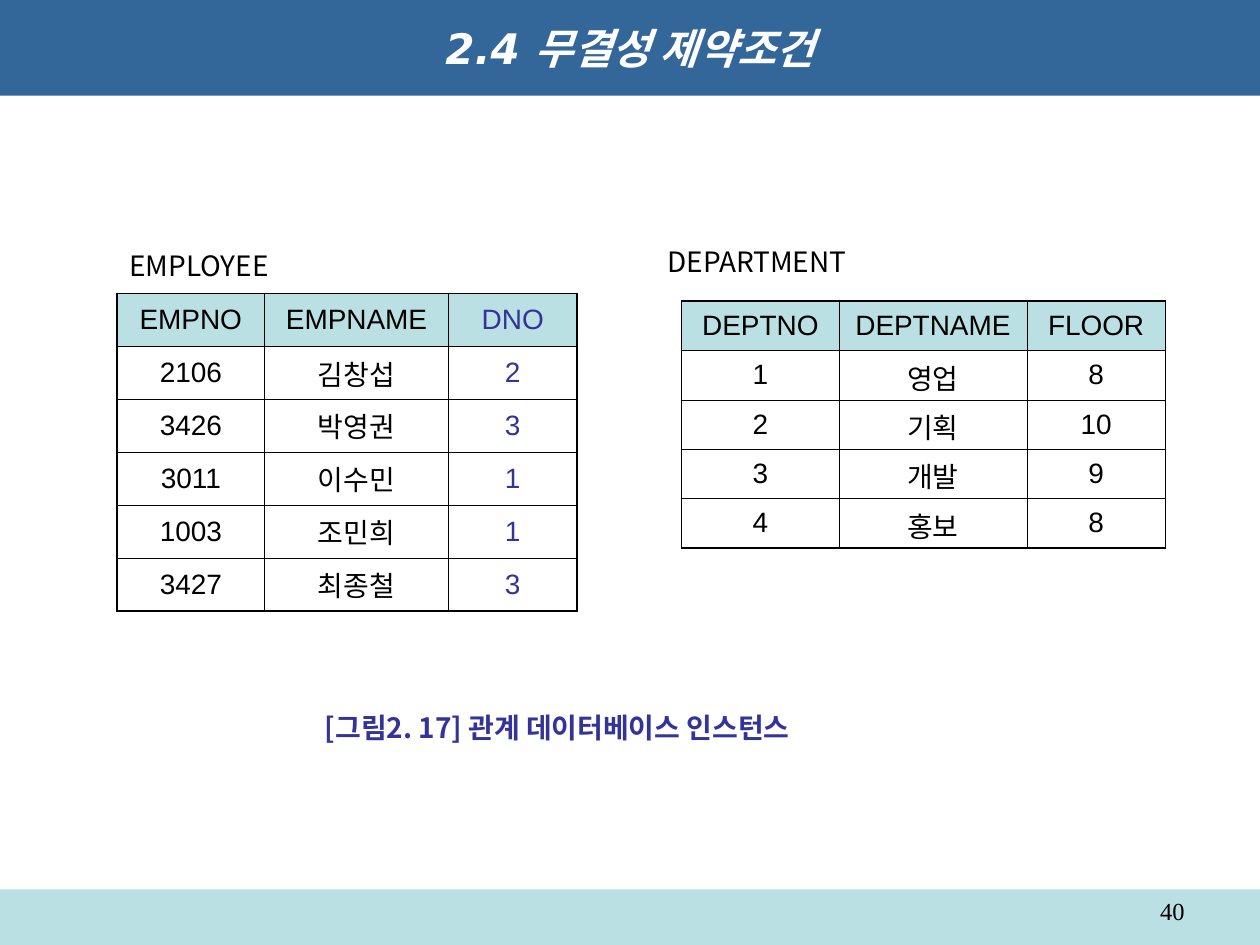
from lxml.etree import SubElement
from pptx import Presentation
from pptx.dml.color import RGBColor
from pptx.enum.shapes import MSO_SHAPE
from pptx.enum.text import MSO_ANCHOR, PP_ALIGN
from pptx.oxml.ns import qn
from pptx.util import Inches, Pt

COLORS = {
    "title_bar": "336699",
    "pale": "BBE0E3",
    "accent": "333399",
    "black": "000000",
    "white": "FFFFFF",
}
KOREAN = "Noto Sans CJK KR"
LABEL_FONT = "Noto Sans CJK JP"
THIN, THICK = Pt(0.45), Pt(1.08)

EMPLOYEE = [
    ("EMPNO", "EMPNAME", "DNO"),
    ("2106", "김창섭", "2"),
    ("3426", "박영권", "3"),
    ("3011", "이수민", "1"),
    ("1003", "조민희", "1"),
    ("3427", "최종철", "3"),
]
DEPARTMENT = [
    ("DEPTNO", "DEPTNAME", "FLOOR"),
    ("1", "영업", "8"),
    ("2", "기획", "10"),
    ("3", "개발", "9"),
    ("4", "홍보", "8"),
]


def rgb(name):
    return RGBColor.from_string(COLORS[name])


def inches(box):
    return [Inches(v) for v in box]


def add_run(p, text, font, size=16, color="black", bold=False, italic=False):
    r = p.add_run()
    r.text = text
    f = r.font
    f.name, f.size, f.bold, f.italic = font, Pt(size), bold, italic
    f.color.rgb = rgb(color)
    # Hangul takes its font from the East Asian slot
    SubElement(r._r.get_or_add_rPr(), qn("a:ea"), typeface=KOREAN)


def add_text(s, box, text, font, align=PP_ALIGN.LEFT, wrap=True, **style):
    tf = s.shapes.add_textbox(*inches(box)).text_frame
    tf.word_wrap = wrap
    p = tf.paragraphs[0]
    p.alignment = align
    add_run(p, text, font, **style)


def set_borders(cell, widths):
    tcPr = cell._tc.get_or_add_tcPr()
    for i, (side, width) in enumerate(widths.items()):
        ln = SubElement(tcPr, qn(f"a:ln{side}"), w=str(width))
        fill = SubElement(ln, qn("a:solidFill"))
        SubElement(fill, qn("a:srgbClr"), val=COLORS["black"])
        tcPr.insert(i, ln)  # borders come before the cell fill


def add_title(s, box):
    title = s.shapes.title
    title.left, title.top, title.width, title.height = inches(box)
    title.fill.solid()
    title.fill.fore_color.rgb = rgb("title_bar")
    tf = title.text_frame
    tf.vertical_anchor = MSO_ANCHOR.MIDDLE
    p = tf.paragraphs[0]
    p.alignment = PP_ALIGN.CENTER
    add_run(p, "2.4 무결성 제약조건", "DejaVu Sans", 24, "white", True, True)


def add_footer(s, box):
    left, top, width, height = box
    bar = s.shapes.add_shape(MSO_SHAPE.RECTANGLE, *inches(box))
    bar.shadow.inherit = False
    bar.fill.solid()
    bar.fill.fore_color.rgb = rgb("pale")
    bar.line.fill.background()
    add_text(s, (left + width - 2.83, top, 2.33, 0.29), "40",
             "Times New Roman", PP_ALIGN.RIGHT, size=14)


def add_relation(s, box, rows, col_widths, key_col=None):
    """Draw a relation with a thick frame; key_col is in the accent colour."""
    last_row, last_col = len(rows) - 1, len(col_widths) - 1
    table = s.shapes.add_table(len(rows), len(col_widths), *inches(box)).table
    table.horz_banding = False
    for column, width in zip(table.columns, col_widths):
        column.width = Inches(width)
    for i, values in enumerate(rows):
        table.rows[i].height = Inches(box[3] / len(rows))
        for j, value in enumerate(values):
            cell = table.cell(i, j)
            cell.vertical_anchor = MSO_ANCHOR.MIDDLE
            cell.fill.solid()
            cell.fill.fore_color.rgb = rgb("white" if i else "pale")
            p = cell.text_frame.paragraphs[0]
            p.alignment = PP_ALIGN.CENTER
            add_run(p, value, "Arial", bold=False,
                    color="accent" if j == key_col else "black")
            set_borders(cell, {
                "L": THICK if j == 0 else THIN,
                "R": THICK if j == last_col else THIN,
                "T": THICK if i == 0 else THIN,
                "B": THICK if i == last_row else THIN,
            })


def main():
    prs = Presentation()
    prs.slide_width, prs.slide_height = Inches(10), Inches(7.5)
    s = prs.slides.add_slide(prs.slide_layouts[5])

    # Bars at the top and bottom
    add_footer(s, (0, 7.06, 10, 0.44))
    add_title(s, (0, 0, 10, 0.76))

    # Relations and their names
    add_relation(s, (0.93, 2.33, 3.65, 2.52), EMPLOYEE, (1.17, 1.46, 1.02), key_col=2)
    add_text(s, (0.93, 1.92, 1.32, 0.37), "EMPLOYEE", LABEL_FONT, wrap=False)
    add_relation(s, (5.41, 2.39, 3.84, 1.96), DEPARTMENT, (1.25, 1.49, 1.1))
    add_text(s, (5.2, 1.89, 1.64, 0.37), "DEPARTMENT", LABEL_FONT, wrap=False)

    # Figure caption
    add_text(s, (2.48, 5.59, 5.19, 0.37), "[그림2. 17] 관계 데이터베이스 인스턴스",
             KOREAN, PP_ALIGN.JUSTIFY, color="accent", bold=True)

    prs.save("out.pptx")


if __name__ == "__main__":
    main()
